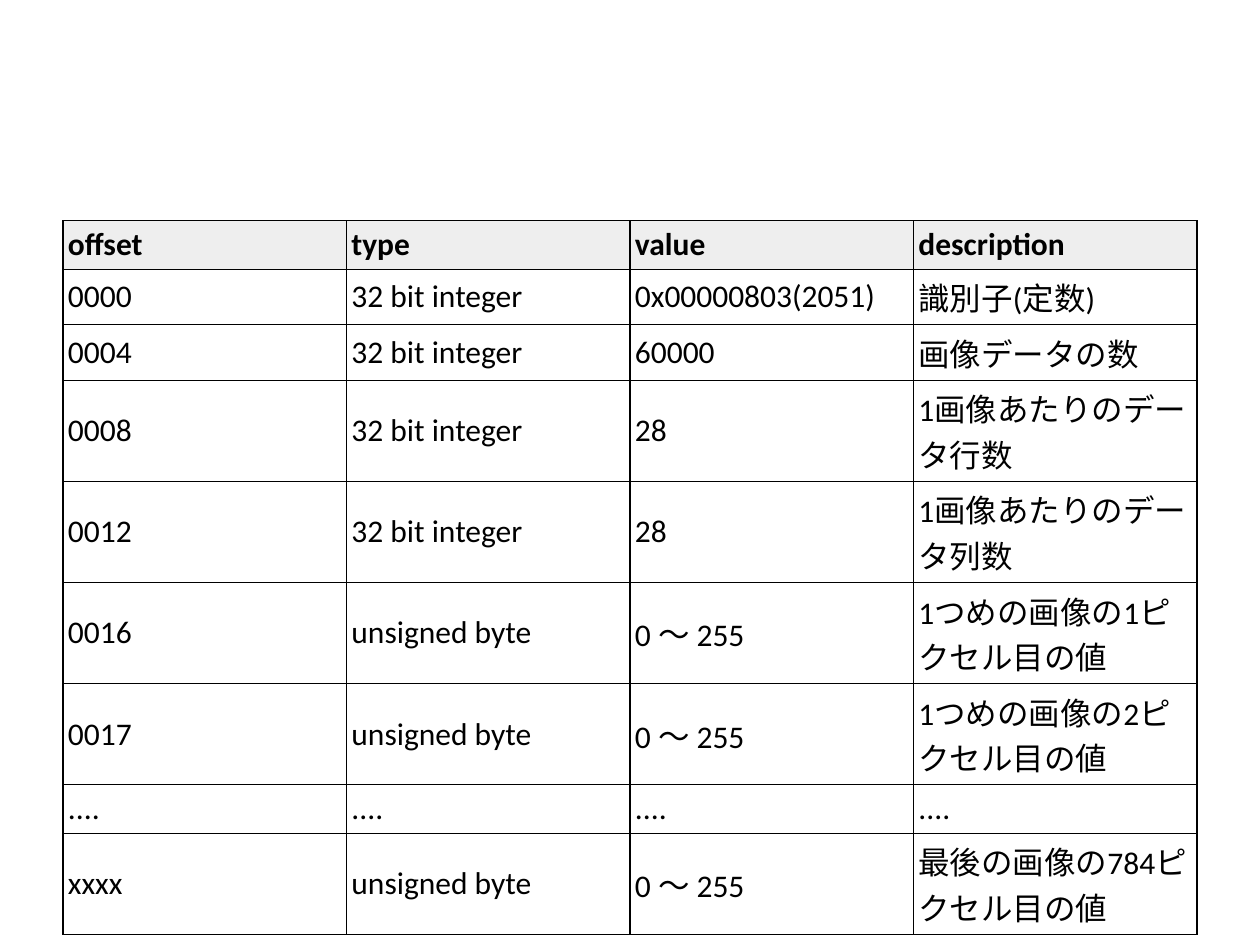
"""Build a slide with a table of the byte layout of an image data file."""
from lxml import etree
from pptx import Presentation
from pptx.dml.color import RGBColor
from pptx.enum.text import MSO_ANCHOR
from pptx.oxml.ns import qn
from pptx.util import Cm, Pt

MIDDLE = MSO_ANCHOR.MIDDLE
COLORS = {"head": "EEEEEE", "body": "FFFFFF", "ink": "000000"}
FONT = {"name": "Calibri", "size": Pt(18)}
CELL = {"vertical_anchor": MIDDLE, "margin_left": Cm(0.1), "margin_right": Cm(0.1),
        "margin_top": Cm(0.1), "margin_bottom": Cm(0.1)}
LOW, HIGH = 0.97, 1.73
ROWS = [
    (LOW, "offset", "type", "value", "description"),
    (LOW, "0000", "32 bit integer", "0x00000803(2051)", "識別子(定数)"),
    (LOW, "0004", "32 bit integer", "60000", "画像データの数"),
    (HIGH, "0008", "32 bit integer", "28", "1画像あたりのデータ行数"),
    (HIGH, "0012", "32 bit integer", "28", "1画像あたりのデータ列数"),
    (HIGH, "0016", "unsigned byte", "0 ～ 255", "1つめの画像の1ピクセル目の値"),
    (HIGH, "0017", "unsigned byte", "0 ～ 255", "1つめの画像の2ピクセル目の値"),
    (LOW, "....", "....", "....", "...."),
    (HIGH, "xxxx", "unsigned byte", "0 ～ 255", "最後の画像の784ピクセル目の値"),
]


def add_borders(cell):
    """Draw a thin line on all four sides of a cell."""
    props = cell._tc.get_or_add_tcPr()
    for side in ("lnL", "lnR", "lnT", "lnB"):
        line = etree.SubElement(props, qn(f"a:{side}"), w=str(Pt(0.75)))
        fill = etree.SubElement(line, qn("a:solidFill"))
        etree.SubElement(fill, qn("a:srgbClr"), val=COLORS["ink"])


deck = Presentation()
deck.slide_width, deck.slide_height = Cm(25.4), Cm(19.05)
slide = deck.slides.add_slide(deck.slide_layouts[6])

total = sum(row[0] for row in ROWS)
frame = slide.shapes.add_table(len(ROWS), 4, Cm(1.27), Cm(4.45), Cm(22.86), Cm(total))
table = frame.table
table.horz_banding = False

for r, (height, *texts) in enumerate(ROWS):
    table.rows[r].height = Cm(height)
    for c, text in enumerate(texts):
        cell = table.cell(r, c)
        for key, value in CELL.items():
            setattr(cell, key, value)
        add_borders(cell)
        cell.fill.solid()
        cell.fill.fore_color.rgb = RGBColor.from_string(COLORS["body" if r else "head"])
        cell.text = text
        font = cell.text_frame.paragraphs[0].runs[0].font
        for key, value in FONT.items():
            setattr(font, key, value)
        font.bold = r == 0
        font.color.rgb = RGBColor.from_string(COLORS["ink"])

deck.save("out.pptx")
